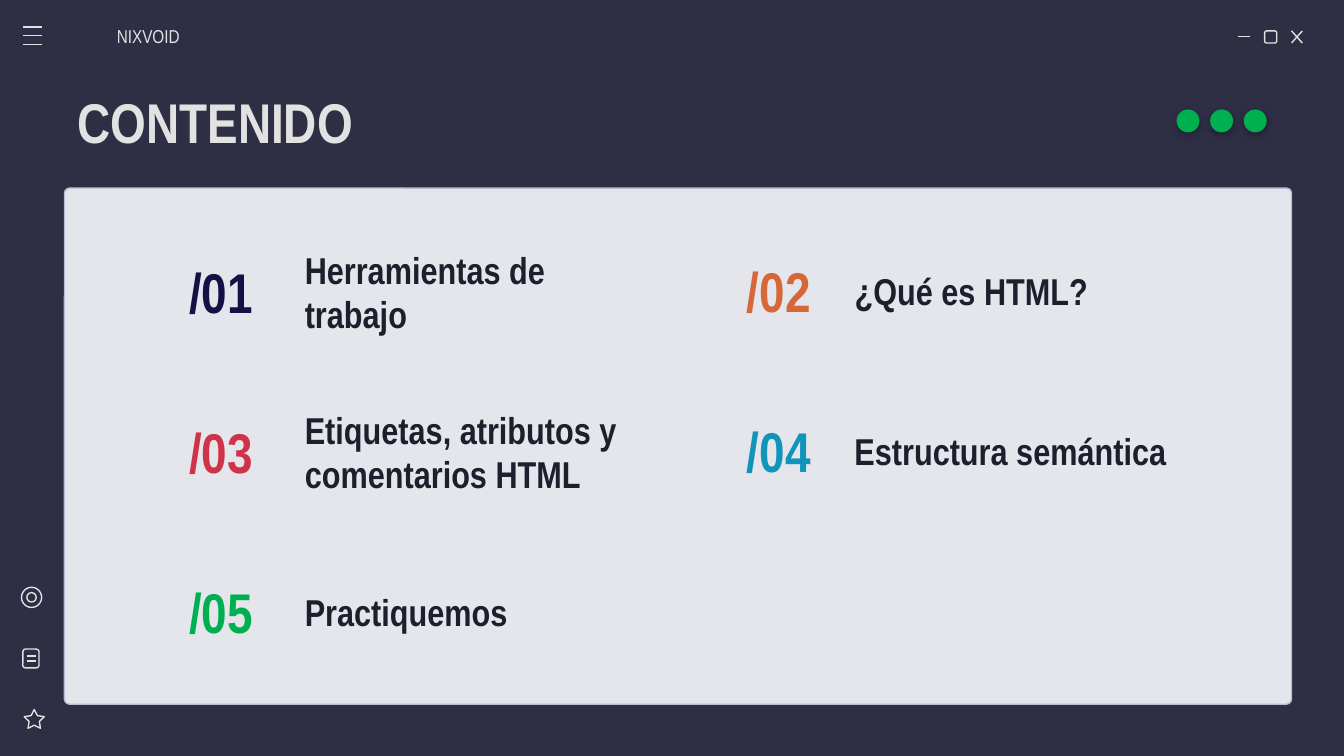
from dataclasses import dataclass
from typing import NamedTuple

from lxml.etree import SubElement
from pptx import Presentation
from pptx.dml.color import RGBColor
from pptx.enum.shapes import MSO_CONNECTOR as Connector, MSO_SHAPE as Preset
from pptx.enum.text import MSO_ANCHOR as Anchor, PP_ALIGN as Align
from pptx.oxml import parse_xml
from pptx.oxml.ns import nsdecls, qn
from pptx.util import Inches, Pt


@dataclass(frozen=True)
class Theme:
    font: str = "Arial Narrow"
    background: str = "2E2E45"
    panel: str = "E5E5EC"
    panel_edge: str = "BCBCD4"
    light: str = "E2E2E2"
    ink: str = "1E1E2C"
    green: str = "00B050"
    numbers: tuple = ("151046", "D56738", "CF3349", "1194BA", "00B050")
    heading: int = 30
    topic: int = 20
    label: int = 10
    stroke: float = 0.75


class Box(NamedTuple):
    left: float
    top: float
    width: float
    height: float

    def inner(self, dx, dy, width, height):
        return Box(self.left + dx, self.top + dy, width, height)


THEME = Theme()
TOPICS = (
    ("Herramientas de trabajo", 2.56),
    ("¿Qué es HTML?", 3.08),
    ("Etiquetas, atributos y comentarios HTML", 2.56),
    ("Estructura semántica", 2.56),
    ("Practiquemos", 2.56),
)
SHADOW = (
    f'<a:effectLst {nsdecls("a")}>'
    '<a:outerShdw blurRad="57150" dist="19050" dir="5400000" algn="bl" rotWithShape="0">'
    '<a:srgbClr val="000000"><a:alpha val="30000"/></a:srgbClr>'
    '</a:outerShdw></a:effectLst>'
)


def color(value):
    return RGBColor.from_string(value)


def outline(item, value):
    item.line.color.rgb = color(value)
    item.line.width = Pt(THEME.stroke)


def add_preset(slide, kind, box, edge=THEME.light, fill=None):
    preset = slide.shapes.add_shape(kind, *map(Inches, box))
    preset.shadow.inherit = False
    if fill:
        preset.fill.solid()
        preset.fill.fore_color.rgb = color(fill)
    else:
        preset.fill.background()
    outline(preset, edge)
    return preset


def add_stroke(slide, box, x1, y1, x2, y2):
    ends = (box.left + x1, box.top + y1, box.left + x2, box.top + y2)
    stroke = slide.shapes.add_connector(Connector.STRAIGHT, *map(Inches, ends))
    outline(stroke, THEME.light)
    SubElement(stroke.element.spPr, qn("a:effectLst"))


def add_text(slide, box, wording, size, ink, bold=True, align=Align.LEFT, left_inset=0.1):
    frame = slide.shapes.add_textbox(*map(Inches, box)).text_frame
    frame_format = {
        "word_wrap": True,
        "vertical_anchor": Anchor.MIDDLE,
        "margin_left": Inches(left_inset),
        "margin_right": Inches(0.1),
        "margin_top": Inches(0.1),
        "margin_bottom": Inches(0.1),
    }
    for name, value in frame_format.items():
        setattr(frame, name, value)
    paragraph = frame.paragraphs[0]
    paragraph.alignment = align
    run = paragraph.add_run()
    run.text = wording
    for name, value in {"name": THEME.font, "size": Pt(size), "bold": bold}.items():
        setattr(run.font, name, value)
    run.font.color.rgb = color(ink)


def draw_panel(slide, box):
    panel = add_preset(slide, Preset.ROUNDED_RECTANGLE, box, THEME.panel_edge, THEME.panel)
    panel.adjustments[0] = 0.01


def draw_window_controls(slide, box):
    add_stroke(slide, box, 0, 0.04, 0.09, 0.04)
    add_preset(slide, Preset.ROUNDED_RECTANGLE, box.inner(0.2, 0, 0.09, 0.09))
    add_stroke(slide, box, 0.4, 0, 0.48, 0.09)
    add_stroke(slide, box, 0.48, 0, 0.4, 0.09)


def draw_menu(slide, box):
    for row in range(3):
        y = row * box.height / 2
        add_stroke(slide, box, 0, y, box.width, y)


def draw_dots(slide, box):
    step = (box.width - box.height) / 2
    for place in range(3):
        spot = box.inner(place * step, 0, box.height, box.height)
        dot = add_preset(slide, Preset.OVAL, spot, THEME.green, THEME.green)
        properties = dot.element.spPr
        properties.replace(properties.find(qn("a:effectLst")), parse_xml(SHADOW))


def draw_side_icons(slide, box):
    for inset in (0, 0.04):
        size = 0.15 - 2 * inset
        add_preset(slide, Preset.OVAL, box.inner(inset, inset, size, size))
    add_preset(slide, Preset.ROUNDED_RECTANGLE, box.inner(0.01, 0.46, 0.12, 0.14))
    for y in (0.51, 0.55):
        add_stroke(slide, box, 0.04, y, 0.11, y)
    star = add_preset(slide, Preset.STAR_5_POINT, box.inner(0.02, 0.91, 0.15, 0.14))
    star.adjustments[0] = 0.254


def draw_topic(slide, box, number, topic, ink, gap):
    add_text(slide, box.inner(gap, 0, box.width - gap, box.height), topic,
             THEME.topic, THEME.ink)
    add_text(slide, box.inner(0, 0, 0.91, box.height), f"/{number:02}",
             THEME.heading, ink, align=Align.CENTER)


def draw_contents(slide, box):
    columns = ((0.71, 0.49, 0.98), (4.86, 0.48, 0.92))
    for index, ((topic, width), ink) in enumerate(zip(TOPICS, THEME.numbers)):
        row, column = divmod(index, 2)
        dx, dy, gap = columns[column]
        cell = box.inner(dx, dy + row * 1.19, gap + width, 0.56)
        draw_topic(slide, cell, index + 1, topic, ink, gap)


def main():
    deck = Presentation()
    deck.slide_width = Inches(10)
    deck.slide_height = deck.slide_width * 9 // 16
    slide = deck.slides.add_slide(deck.slide_layouts[6])
    slide.background.fill.solid()
    slide.background.fill.fore_color.rgb = color(THEME.background)

    panel = Box(0.48, 1.4, 9.13, 3.84)
    draw_panel(slide, panel)
    draw_window_controls(slide, Box(9.21, 0.23, 0.48, 0.09))
    draw_contents(slide, panel)
    draw_dots(slide, Box(8.76, 0.82, 0.66, 0.16))
    add_text(slide, Box(0.87, 0.12, 1.17, 0.3), "NIXVOID", THEME.label, THEME.light,
             bold=False, left_inset=0)
    draw_side_icons(slide, Box(0.16, 4.37, 0.17, 1.05))
    draw_menu(slide, Box(0.17, 0.2, 0.14, 0.13))
    add_text(slide, Box(0.48, 0.59, 9.13, 0.63), "CONTENIDO", THEME.heading, THEME.light)
    deck.save("out.pptx")


if __name__ == "__main__":
    main()
